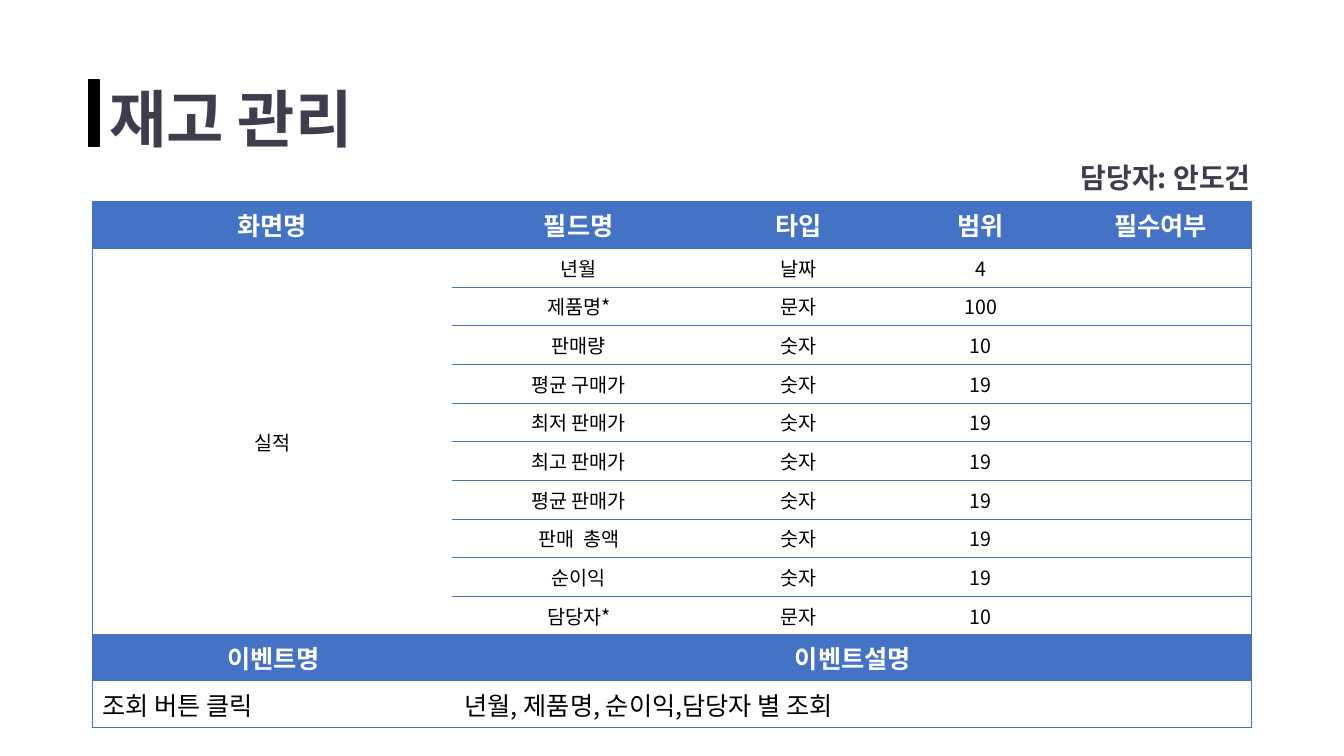
from lxml.etree import SubElement
from pptx import Presentation
from pptx.dml.color import RGBColor
from pptx.enum.shapes import MSO_SHAPE as Shape
from pptx.enum.text import MSO_ANCHOR as Anchor, PP_ALIGN as Align
from pptx.oxml import parse_xml
from pptx.oxml.ns import nsdecls, qn
from pptx.util import Pt

COLORS = {"accent": "4472C4", "title": "403C4E", "black": "000000", "white": "FFFFFF"}
NO_STYLE = "{2D5ABB26-0587-4C30-8999-92F81FD0307C}"
HEAD_HEIGHT, FIELD_HEIGHT = 33.3, 27.6
TABLE_LEFT = 66.2


class Sheet:
    font = "Noto Sans CJK KR"

    def __init__(self, slide):
        self.slide = slide

    def color(self, name):
        return RGBColor.from_string(COLORS[name])

    def style(self, paragraph, size, color, bold, align, font=None):
        paragraph.alignment = align
        for run in paragraph.runs:
            run.font.size = Pt(size)
            run.font.bold = bold
            run.font.name = font or self.font
            run.font.color.rgb = self.color(color)
            SubElement(run.font._element, qn("a:ea"), typeface=self.font)
        if not paragraph.runs:
            SubElement(paragraph._p, qn("a:endParaRPr"), sz=str(size * 100))

    def text(self, words, left, top, width, height, size, align, font=None):
        frame = self.slide.shapes.add_textbox(
            Pt(left), Pt(top), Pt(width), Pt(height)).text_frame
        frame.margin_left = frame.margin_right = 0
        frame.margin_top = frame.margin_bottom = 0
        frame.word_wrap = False
        frame.text = words
        frame.paragraphs[0].line_spacing = Pt(55.5)
        self.style(frame.paragraphs[0], size, "title", True, align, font)

    def bar(self, left, top, width, height):
        mark = self.slide.shapes.add_shape(
            Shape.RECTANGLE, Pt(left), Pt(top), Pt(width), Pt(height))
        mark.shadow.inherit = False
        mark.fill.solid()
        mark.fill.fore_color.rgb = self.color("black")
        mark.line.color.rgb = self.color("black")
        mark.line.width = Pt(1)

    def borders(self, cell, sides):
        props = cell._tc.get_or_add_tcPr()
        for place, side in enumerate(sides):
            props.insert(place, parse_xml(
                f'<a:ln{side} {nsdecls("a")} w="6350"><a:solidFill>'
                f'<a:srgbClr val="{COLORS["accent"]}"/></a:solidFill></a:ln{side}>'))

    def table(self, rows, top, widths, body_height, body_size, body_align, merge_first=False):
        heights = [HEAD_HEIGHT] + [body_height] * (len(rows) - 1)
        grid = self.slide.shapes.add_table(
            len(rows), len(widths), Pt(TABLE_LEFT), Pt(top),
            Pt(sum(widths)), Pt(sum(heights))).table
        grid._tbl.tblPr.find(qn("a:tableStyleId")).text = NO_STYLE
        grid.first_row = grid.horz_banding = False
        for column, width in zip(grid.columns, widths):
            column.width = Pt(width)
        for line, height in zip(grid.rows, heights):
            line.height = Pt(height)
        if merge_first:
            grid.cell(1, 0).merge(grid.cell(len(rows) - 1, 0))
        for r, row in enumerate(rows):
            for c, words in enumerate(row):
                cell = grid.cell(r, c)
                cell.text = words
                cell.vertical_anchor = Anchor.MIDDLE
                cell.fill.solid()
                cell.fill.fore_color.rgb = self.color("white" if r else "accent")
                paragraph = cell.text_frame.paragraphs[0]
                if r:
                    self.style(paragraph, body_size, "black", False, body_align)
                else:
                    self.style(paragraph, 18, "white", True, Align.CENTER)
                sides = ["L"] if c == 0 else []
                if c == len(widths) - 1:
                    sides.append("R")
                if not cell.is_spanned:
                    sides.append("T")
                if not cell.is_spanned or r == len(rows) - 1:
                    sides.append("B")
                self.borders(cell, sides)


def main():
    deck = Presentation()
    deck.slide_width, deck.slide_height = Pt(960), Pt(540)
    sheet = Sheet(deck.slides.add_slide(deck.slide_layouts[6]))

    fields = [
        ("년월", "날짜", "4"),
        ("제품명*", "문자", "100"),
        ("판매량", "숫자", "10"),
        ("평균 구매가", "숫자", "19"),
        ("최저 판매가", "숫자", "19"),
        ("최고 판매가", "숫자", "19"),
        ("평균 판매가", "숫자", "19"),
        ("판매  총액", "숫자", "19"),
        ("순이익", "숫자", "19"),
        ("담당자*", "문자", "10"),
    ]
    field_rows = [("화면명", "필드명", "타입", "범위", "필수여부")]
    field_rows += [("" if i else "실적", *field, "") for i, field in enumerate(fields)]
    event_rows = [
        ("이벤트명", "이벤트설명"),
        ("조회 버튼 클릭", "년월, 제품명, 순이익,담당자 별 조회"),
    ]
    sheet.table(field_rows, 144, [256.5, 181.5, 132.5, 128, 129],
                FIELD_HEIGHT, 14, Align.CENTER, merge_first=True)
    sheet.table(event_rows, 453, [258.5, 569], HEAD_HEIGHT, 18, Align.LEFT)
    sheet.text("담당자: 안도건", 728, 83.5, 165.5, 56, 20, Align.RIGHT)
    sheet.text("재고 관리", 78, 55.5, 446.5, 56, 44.5, Align.LEFT, "Arial")
    sheet.bar(63.5, 57, 7.2, 47.5)
    deck.save("out.pptx")


if __name__ == "__main__":
    main()
